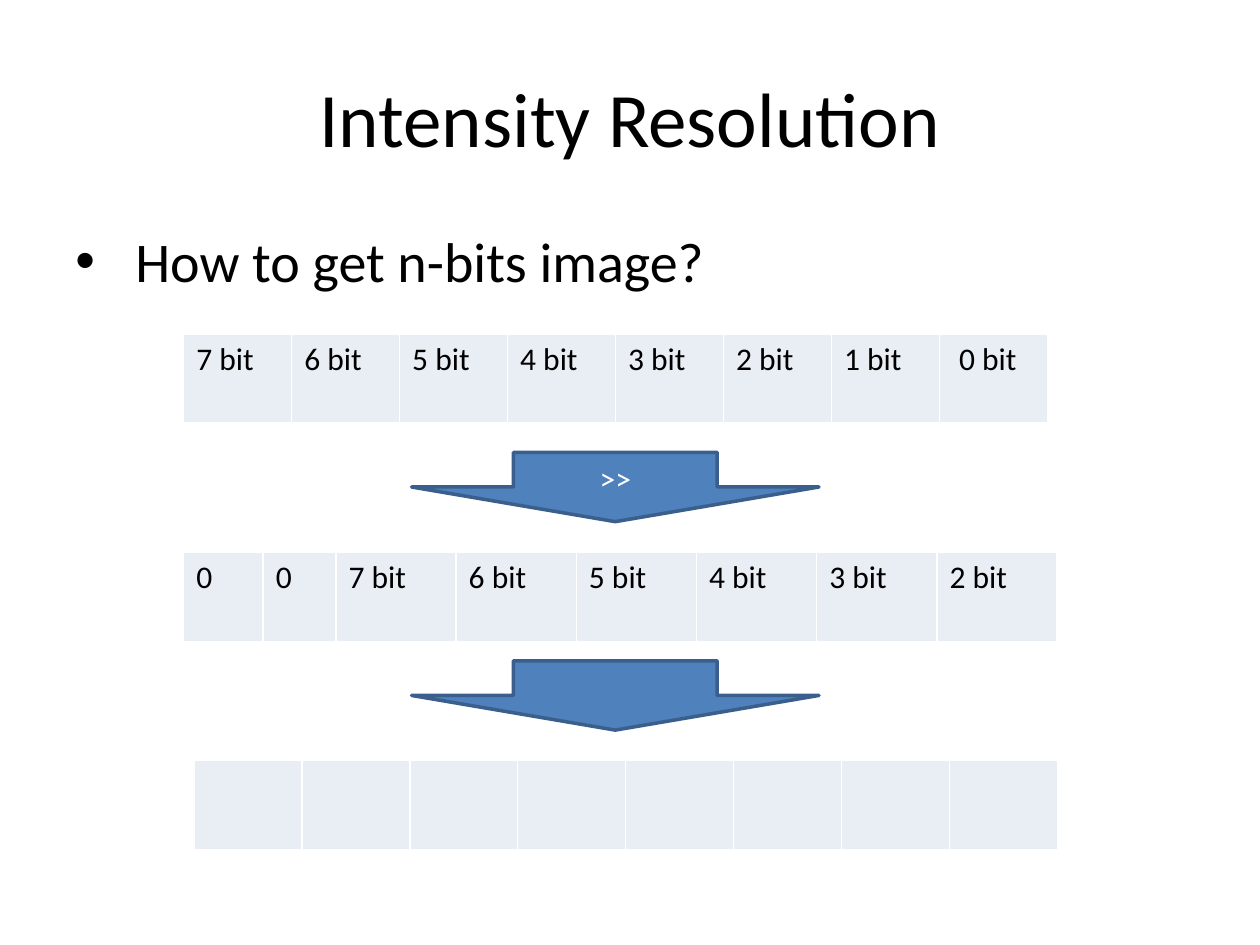
from lxml.etree import SubElement
from pptx import Presentation
from pptx.dml.color import RGBColor
from pptx.enum.shapes import MSO_SHAPE
from pptx.enum.text import MSO_ANCHOR, PP_ALIGN
from pptx.oxml.ns import qn
from pptx.util import Pt


def rgb(value):
    return RGBColor.from_string(value)


def write(tf, text, size=18, color="000000", align=PP_ALIGN.LEFT,
          anchor=MSO_ANCHOR.TOP, bullet=None, indent=0):
    tf.word_wrap = True
    tf.vertical_anchor = anchor
    p = tf.paragraphs[0]
    p.alignment = align
    if bullet:
        pPr = p._p.get_or_add_pPr()
        pPr.set("marL", str(Pt(indent)))
        pPr.set("indent", str(-Pt(indent)))
        SubElement(pPr, qn("a:buFont"), typeface="Arial")
        SubElement(pPr, qn("a:buChar"), char=bullet)
    r = p.add_run()
    r.text = text
    r.font.name = "Calibri"
    r.font.size = Pt(size)
    r.font.color.rgb = rgb(color)


def add_text(s, text, x, y, w, h, **fmt):
    sp = s.shapes.add_textbox(Pt(x), Pt(y), Pt(w), Pt(h))
    write(sp.text_frame, text, **fmt)


def add_borders(cell, color="FFFFFF", width=1):
    tcPr = cell._tc.get_or_add_tcPr()
    for i, side in enumerate(("lnL", "lnR", "lnT", "lnB")):
        ln = tcPr.makeelement(qn(f"a:{side}"), {"w": str(Pt(width))})
        fill = SubElement(ln, qn("a:solidFill"))
        SubElement(fill, qn("a:srgbClr"), val=color)
        tcPr.insert(i, ln)


def add_bit_row(s, x, y, labels, widths, height=51):
    shape = s.shapes.add_table(1, len(labels), Pt(x), Pt(y),
                               Pt(sum(widths)), Pt(height))
    table = shape.table
    table.first_row = table.horz_banding = False
    for i, (label, width) in enumerate(zip(labels, widths)):
        table.columns[i].width = Pt(width)
        cell = table.cell(0, i)
        cell.fill.solid()
        cell.fill.fore_color.rgb = rgb("E9EDF4")
        add_borders(cell)
        if label:
            write(cell.text_frame, label)


def add_arrow(s, y, text=""):
    sp = s.shapes.add_shape(MSO_SHAPE.DOWN_ARROW, Pt(235.2), Pt(y),
                            Pt(232.8), Pt(39.6))
    sp.shadow.inherit = False
    sp.fill.solid()
    sp.fill.fore_color.rgb = rgb("4F81BD")
    sp.line.color.rgb = rgb("3A5F8C")
    sp.line.width = Pt(2)
    if text:
        write(sp.text_frame, text, color="FFFFFF", align=PP_ALIGN.CENTER,
              anchor=MSO_ANCHOR.MIDDLE)


def main():
    prs = Presentation()
    prs.slide_width, prs.slide_height = Pt(720), Pt(540)
    s = prs.slides.add_slide(prs.slide_layouts[6])

    add_text(s, "Intensity Resolution", 36, 21.6, 648, 90, size=44,
             align=PP_ALIGN.CENTER, anchor=MSO_ANCHOR.MIDDLE)
    add_text(s, " How to get n-bits image?", 36, 126, 648, 356.4, size=32,
             bullet="•", indent=27)

    bits = [f"{n} bit" for n in range(7, 0, -1)]
    even = [61.7] * 8
    add_bit_row(s, 105, 190.8, bits + [" 0 bit"], even)
    add_bit_row(s, 105, 315.7, ["0", "0"] + bits[:6], [45.4, 41.6] + [68.7] * 6)
    add_bit_row(s, 110.8, 434.5, [""] * 8, even)

    add_arrow(s, 258.5, ">>")
    add_arrow(s, 377.6)

    prs.save("out.pptx")


if __name__ == "__main__":
    main()
